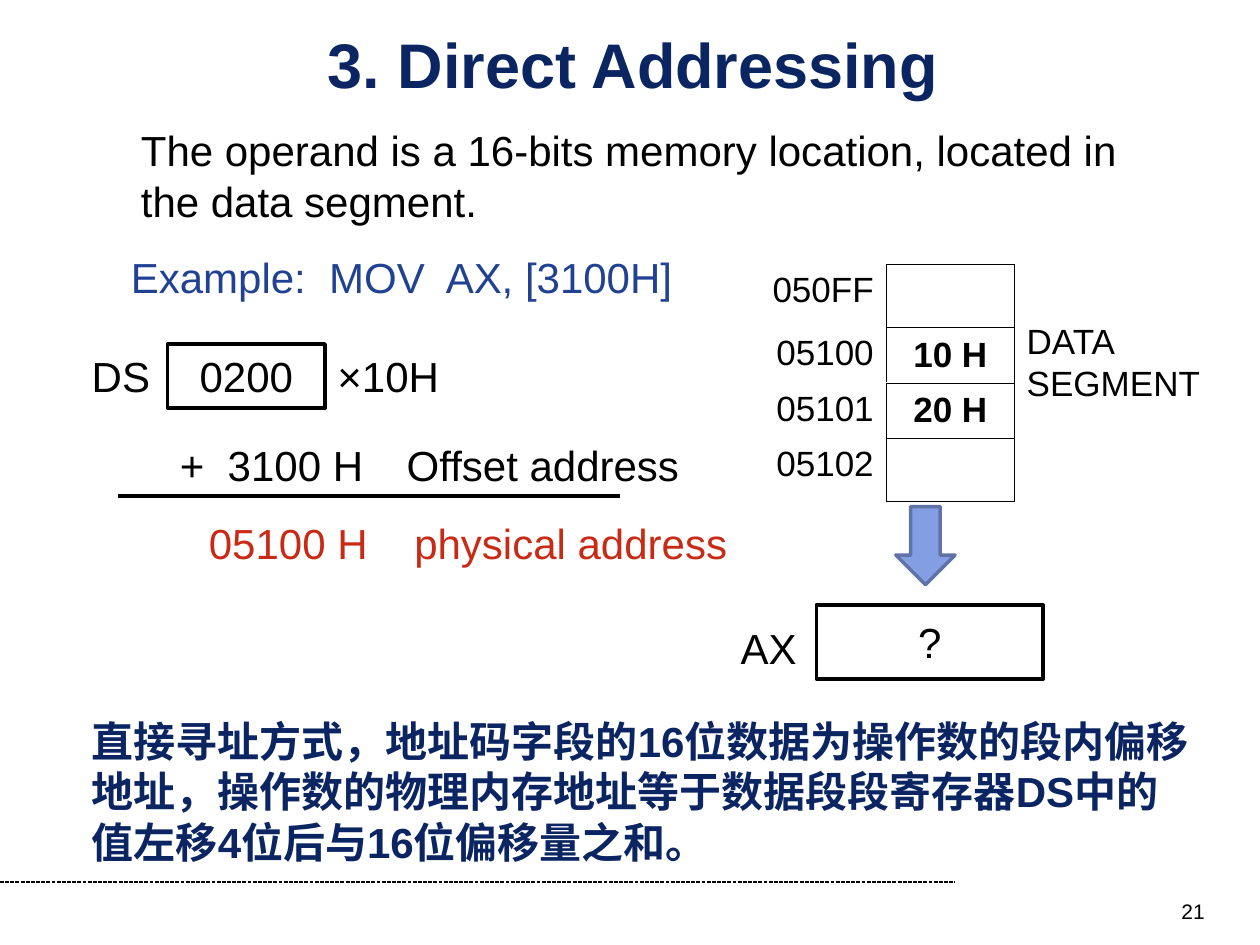
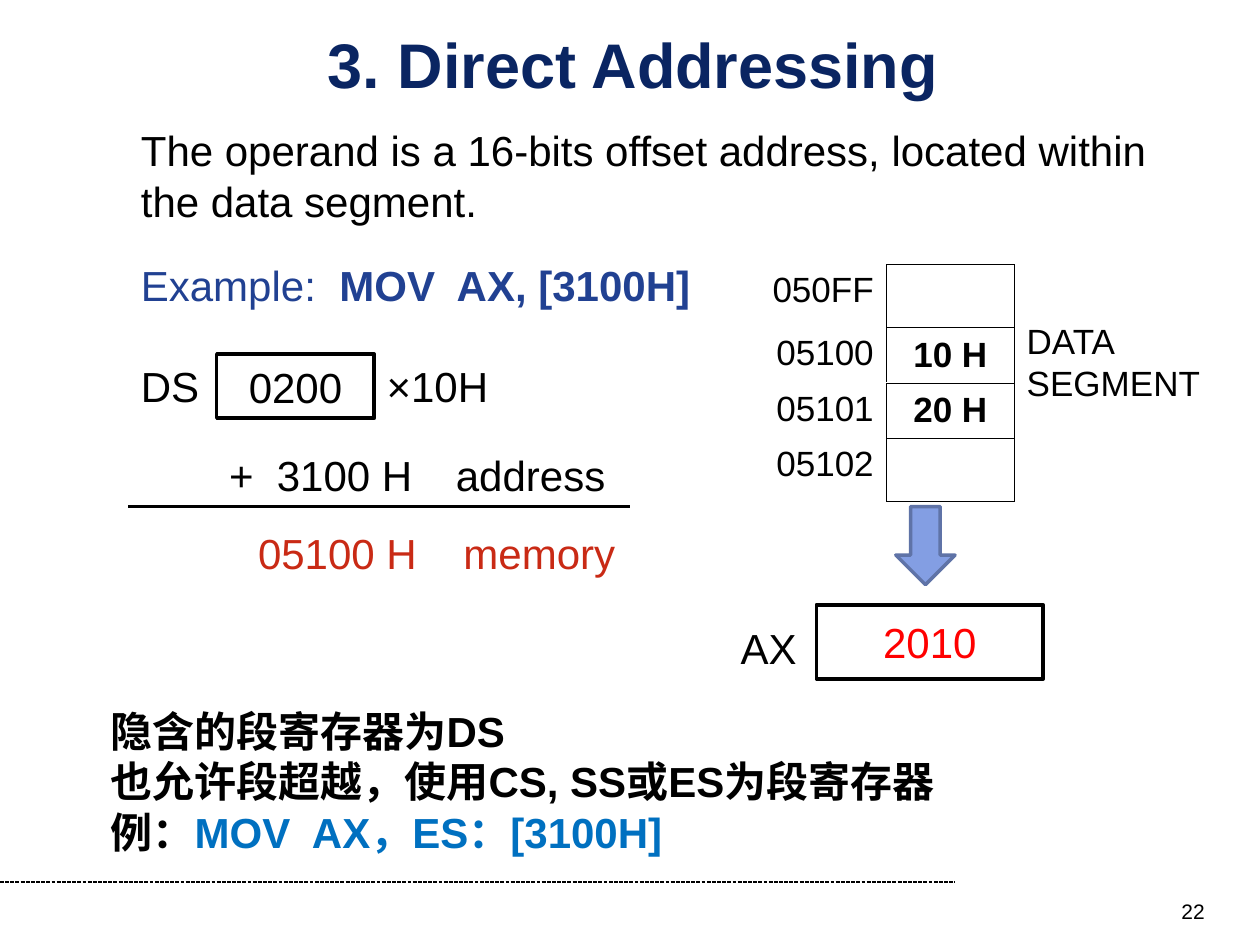
from lxml.etree import SubElement
from pptx import Presentation
from pptx.dml.color import RGBColor
from pptx.enum.dml import MSO_LINE_DASH_STYLE as Dash
from pptx.enum.shapes import MSO_CONNECTOR as Connector, MSO_SHAPE as Shape
from pptx.enum.text import MSO_ANCHOR as Anchor, MSO_AUTO_SIZE as AutoSize, PP_ALIGN as Align
from pptx.oxml.ns import qn
from pptx.util import Inches, Pt

COLORS = {
    "black": "000000", "white": "FFFFFF", "navy": "0A2562", "blue": "214192",
    "brick": "C92A15", "red": "FF0000", "code": "0070C0",
    "arrow": "839EE3", "arrow_edge": "5F73A7",
}
FONT = "Arial"
MEMORY = [("050FF", "", 0.5), ("05100", "10 H", 0.44),
          ("05101", "20 H", 0.44), ("05102", "", 0.5)]


def rgb(name):
    return RGBColor.from_string(COLORS[name])


def style_run(run, size, color, bold):
    run.font.name = FONT
    run.font.size = Pt(size)
    run.font.bold = bold
    run.font.color.rgb = rgb(color)


def write(frame, text, size=24, color="black", bold=False, align=Align.LEFT):
    frame.text = text
    for paragraph in frame.paragraphs:
        paragraph.alignment = align
        for run in paragraph.runs:
            style_run(run, size, color, bold)


def append_run(paragraph, text, color, size=24):
    run = paragraph.add_run()
    run.text = text
    style_run(run, size, color, True)


def add_label(slide, text, left, top, width, height=0.5, **style):
    label = slide.shapes.add_textbox(Inches(left), Inches(top), Inches(width), Inches(height))
    label.text_frame.word_wrap = True
    write(label.text_frame, text, **style)
    return label.text_frame


def add_filled(slide, preset, left, top, width, height, fill="white", edge="black"):
    shape = slide.shapes.add_shape(preset, Inches(left), Inches(top), Inches(width), Inches(height))
    shape.shadow.inherit = False
    shape.fill.solid()
    shape.fill.fore_color.rgb = rgb(fill)
    shape.line.color.rgb = rgb(edge)
    shape.line.width = Pt(2)
    return shape


def add_register(slide, value, left, top, width, height, color="black"):
    frame = add_filled(slide, Shape.RECTANGLE, left, top, width, height).text_frame
    frame.word_wrap = False
    frame.vertical_anchor = Anchor.MIDDLE
    write(frame, value, color=color, align=Align.CENTER)


def add_rule(slide, left, right, y, width):
    rule = slide.shapes.add_connector(
        Connector.STRAIGHT, Inches(left), Inches(y), Inches(right), Inches(y))
    rule.line.color.rgb = rgb("black")
    rule.line.width = Pt(width)
    SubElement(rule._element.spPr, qn("a:effectLst"))
    return rule


def add_border(cell, sides):
    properties = cell._tc.get_or_add_tcPr()
    for side in sides:
        edge = SubElement(properties, qn(f"a:ln{side}"), w=str(Pt(0.45)))
        SubElement(SubElement(edge, qn("a:solidFill")), qn("a:srgbClr"), val=COLORS["black"])


def add_memory_table(slide):
    memory = slide.shapes.add_table(
        len(MEMORY), 2, Inches(6.02), Inches(2.1), Inches(2.03), Inches(1.88)).table
    memory.first_row = memory.horz_banding = False
    for row, (address, content, height) in enumerate(MEMORY):
        memory.rows[row].height = Inches(height)
        address_cell, content_cell = memory.cell(row, 0), memory.cell(row, 1)
        add_border(address_cell, "R")
        add_border(content_cell, "LRTB")
        content_cell.vertical_anchor = Anchor.MIDDLE
        write(address_cell.text_frame, address, size=20, align=Align.RIGHT)
        write(content_cell.text_frame, content, size=20, bold=True, align=Align.CENTER)
        for cell in (address_cell, content_cell):
            cell.fill.background()


def add_frame(deck, number):
    slide = deck.slides.add_slide(deck.slide_layouts[5])
    add_rule(slide, 0, 7.58, 7, 0.75).line.dash_style = Dash.SQUARE_DOT
    title = slide.shapes.title
    title.left, title.top = Inches(0.5), Inches(0.25)
    title.width, title.height = Inches(9.05), Inches(0.5)
    title.text_frame.auto_size = AutoSize.NONE
    title.text_frame.vertical_anchor = Anchor.MIDDLE
    write(title.text_frame, "3. Direct Addressing", 36, "navy", True, Align.CENTER)
    add_label(slide, str(number), 7.33, 7.08, 2.33, 0.27, size=12, align=Align.RIGHT)
    return slide


def add_calculation(slide, left, top, rule_left, offset_name, result_name):
    add_label(slide, "DS", left, top, 0.7)
    add_register(slide, "0200", left + 0.7, top, 1.25, 0.51)
    add_label(slide, "×10H", left + 1.95, top, 1.33)
    add_label(slide, "+  3100 H", left + 0.7, top + 0.71, 1.8)
    add_label(slide, offset_name, left + 2.5, top + 0.71, 2.5)
    add_rule(slide, rule_left, rule_left + 3.98, top + 1.21, 2.25)
    result = add_label(slide, f"05100 H\t{result_name}", left + 0.93, top + 1.33, 4.53,
                       color="brick")
    tabs = SubElement(result.paragraphs[0]._p.get_or_add_pPr(), qn("a:tabLst"))
    SubElement(tabs, qn("a:tab"), pos=str(Inches(1.63)), algn="l")


def add_memory_to_ax(slide, ax_value, ax_color):
    add_memory_table(slide)
    add_label(slide, "DATA SEGMENT", 8.05, 2.49, 1.62, 0.77, size=20)
    add_filled(slide, Shape.DOWN_ARROW, 7.11, 4.02, 0.47, 0.62, "arrow", "arrow_edge")
    add_register(slide, ax_value, 6.48, 4.8, 1.8, 0.59, ax_color)
    add_label(slide, "AX", 5.78, 4.89, 0.78)


def add_question_slide(deck):
    slide = add_frame(deck, 21)
    add_label(slide, "The operand is a 16-bits memory location, located in the data segment.",
              1.02, 0.94, 7.97, 0.9)
    add_label(slide, "Example:  MOV  AX, [3100H]", 0.94, 1.95, 4.92, color="blue")
    add_calculation(slide, 0.63, 2.73, 0.94, "Offset address", "physical address")
    add_memory_to_ax(slide, "?", "black")
    add_label(slide, "直接寻址方式，地址码字段的16位数据为操作数的段内偏移地址，"
              "操作数的物理内存地址等于数据段段寄存器DS中的值左移4位后与16位偏移量之和。",
              0.63, 5.63, 8.98, 1.3, color="navy", bold=True)


def add_answer_slide(deck):
    slide = add_frame(deck, 22)
    add_label(slide, "The operand is a 16-bits offset address, located within the data segment.",
              1.02, 0.94, 8.53, 0.9)
    example = add_label(slide, "Example:  ", 1.02, 2.01, 4.92, color="blue")
    append_run(example.paragraphs[0], "MOV  AX, [3100H]", "blue")
    add_calculation(slide, 1.02, 2.81, 1.02, "address", "memory")
    add_memory_to_ax(slide, "2010", "red")
    override = add_label(slide, "隐含的段寄存器为DS\n也允许段超越，使用CS, SS或ES为段寄存器\n例：",
                         0.78, 5.55, 7.27, 1.3, bold=True)
    append_run(override.paragraphs[-1], "MOV  AX，ES：[3100H]", "code")


def main():
    deck = Presentation()
    deck.slide_width, deck.slide_height = Inches(10), Inches(7.5)
    add_question_slide(deck)
    add_answer_slide(deck)
    deck.save("out.pptx")


if __name__ == "__main__":
    main()
